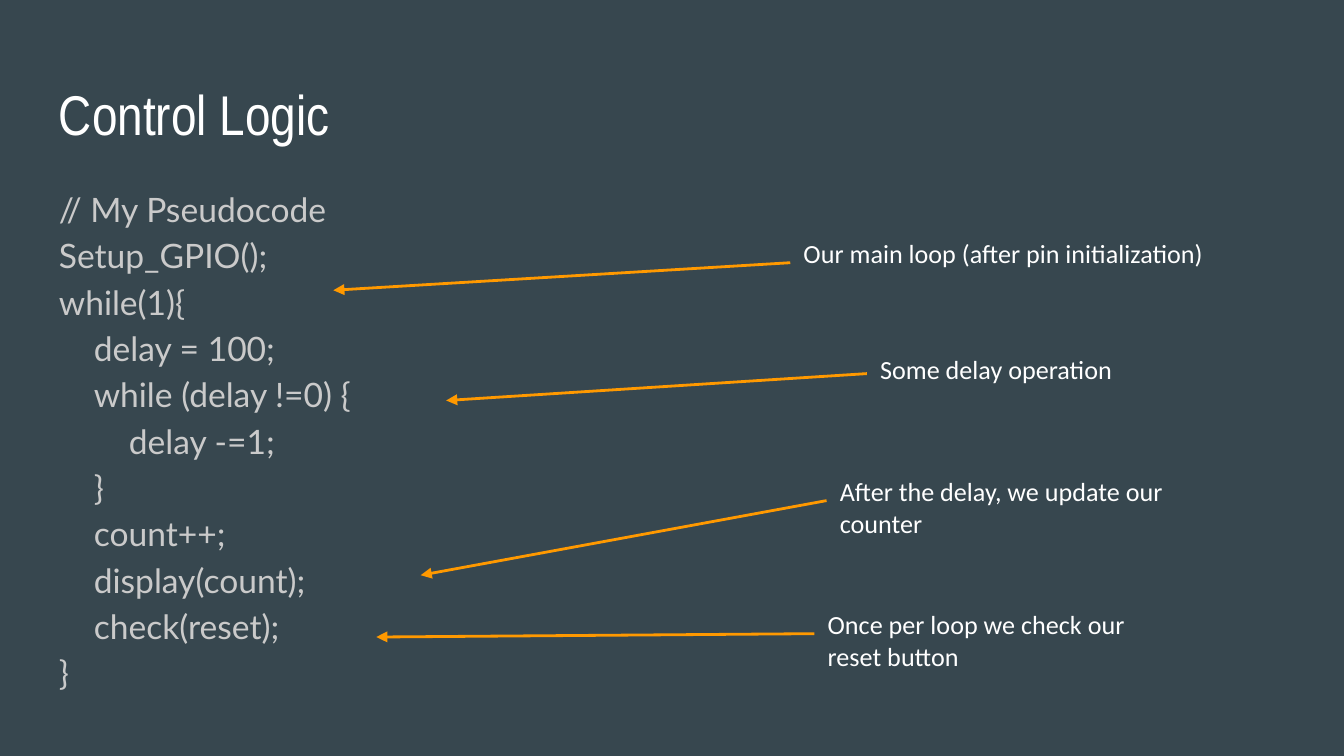
from lxml.etree import SubElement
from pptx import Presentation
from pptx.dml.color import RGBColor
from pptx.enum.shapes import MSO_CONNECTOR
from pptx.oxml.ns import qn
from pptx.util import Inches, Pt

SLIDE_W = 10
SLIDE_H = SLIDE_W * 9 / 16
MARGIN = 0.34
INDENT = 0.26  # one level of code nesting
LEFT_SIDE = 1

SLATE = RGBColor(0x37, 0x47, 0x4F)
WHITE = RGBColor(0xFF, 0xFF, 0xFF)
GREY = RGBColor(0xCA, 0xCA, 0xCA)
ORANGE = RGBColor(0xFF, 0x99, 0x00)

# Nesting level and text of each line of code
PSEUDOCODE = [
    (0, "// My Pseudocode"),
    (0, "Setup_GPIO();"),
    (0, "while(1){"),
    (1, "delay = 100;"),
    (1, "while (delay !=0) {"),
    (2, "delay -=1;"),
    (1, "}"),
    (1, "count++;"),
    (1, "display(count);"),
    (1, "check(reset);"),
    (0, "}"),
]

# Note text, its box (left, top, width, height) and the arrow's target
NOTES = [
    ("Our main loop (after pin initialization)", (5.88, 1.67, 3.65, 0.57), (2.48, 2.16)),
    ("Some delay operation", (6.45, 2.53, 2.2, 0.5), (3.32, 2.98)),
    ("After the delay, we update our counter", (6.15, 3.44, 2.82, 0.57), (3.13, 4.28)),
    ("Once per loop we check our reset button", (6.06, 4.43, 2.82, 0.57), (2.8, 4.74)),
]


def add_text(slide, box, lines, font, size, color, spacing=None):
    """Add a text box with one paragraph per (level, text) line."""
    holder = slide.shapes.add_textbox(*map(Inches, box))
    frame = holder.text_frame
    frame.word_wrap = True
    frame.margin_left = frame.margin_right = Inches(0.1)
    frame.margin_top = frame.margin_bottom = Inches(0.1)
    for index, (level, text) in enumerate(lines):
        paragraph = frame.add_paragraph() if index else frame.paragraphs[0]
        if spacing:
            paragraph.line_spacing = spacing
        if level:
            paragraph._p.get_or_add_pPr().set("marL", str(Inches(level * INDENT)))
        run = paragraph.add_run()
        run.text = text
        run.font.name = font
        run.font.size = Pt(size)
        run.font.color.rgb = color
    return holder


def add_arrow(slide, note, target):
    """Point from the left side of a note to a place in the code."""
    end_x, end_y = map(Inches, target)
    arrow = slide.shapes.add_connector(
        MSO_CONNECTOR.STRAIGHT, note.left, note.top, end_x, end_y)
    arrow.begin_connect(note, LEFT_SIDE)
    arrow.line.color.rgb = ORANGE
    arrow.line.width = Pt(1.5)
    SubElement(arrow.line._get_or_add_ln(), qn("a:tailEnd"), type="triangle")
    SubElement(arrow._element.spPr, qn("a:effectLst"))


def main():
    deck = Presentation()
    deck.slide_width, deck.slide_height = Inches(SLIDE_W), Inches(SLIDE_H)
    slide = deck.slides.add_slide(deck.slide_layouts[6])
    slide.background.fill.solid()
    slide.background.fill.fore_color.rgb = SLATE

    # Title and code
    add_text(slide, (MARGIN, 0.49, SLIDE_W - 2 * MARGIN, 0.63),
             [(0, "Control Logic")], "Arial Narrow", 30, WHITE)
    add_text(slide, (MARGIN, 1.26, 3.52, 3.74), PSEUDOCODE, "Lato", 18, GREY, 1.15)

    # Notes with arrows into the code
    for text, box, target in NOTES:
        note = add_text(slide, box, [(0, text)], "Calibri", 14, WHITE)
        add_arrow(slide, note, target)

    deck.save("out.pptx")


if __name__ == "__main__":
    main()
